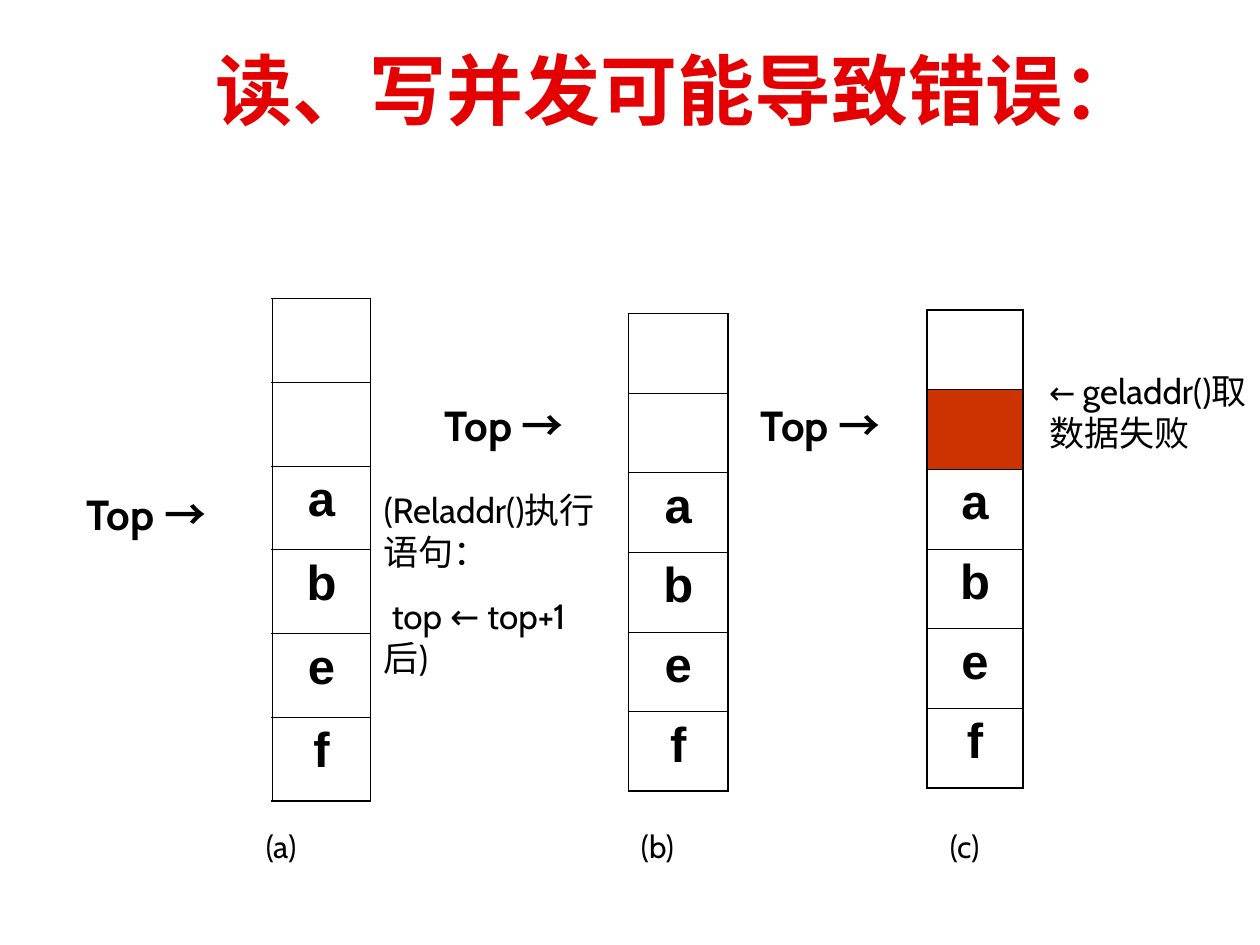
from lxml.etree import SubElement
from pptx import Presentation
from pptx.dml.color import RGBColor as RGB
from pptx.enum.text import MSO_ANCHOR as Anchor, MSO_AUTO_SIZE as Auto, PP_ALIGN as Align
from pptx.oxml import parse_xml
from pptx.oxml.ns import nsdecls, qn
from pptx.util import Cm, Pt

COLORS = {"text": "000000", "title": "E40000", "paper": "FFFFFF", "mark": "CC3300"}
LATIN, HAN = "Cabin", "Noto Sans CJK SC"
THICK, THIN = 1.08, 0.45


def add_run(para, text, size, face=LATIN, bold=False, color="text"):
    run = para.add_run()
    run.text = text
    font = run.font
    font.size, font.name, font.bold = Pt(size), face, bold
    font.color.rgb = RGB.from_string(COLORS[color])
    SubElement(run._r.get_or_add_rPr(), qn("a:ea"), typeface=HAN)


def add_text(slide, box, paras, space=0):
    """Each paragraph is a list of argument tuples for add_run."""
    frame = slide.shapes.add_textbox(*map(Cm, box)).text_frame
    frame.word_wrap = True
    frame.auto_size = Auto.SHAPE_TO_FIT_TEXT
    for i, runs in enumerate(paras):
        para = frame.add_paragraph() if i else frame.paragraphs[0]
        if i:
            para.space_before = Pt(space)
        for run in runs:
            add_run(para, *run)


def set_edges(cell, widths):
    props = cell._tc.get_or_add_tcPr()
    for i, (side, width) in enumerate(widths.items()):
        props.insert(i, parse_xml(
            f'<a:ln{side} {nsdecls("a")} w="{Pt(width)}"><a:solidFill>'
            f'<a:srgbClr val="{COLORS["text"]}"/></a:solidFill></a:ln{side}>'))


def add_title(slide, box, text):
    title = slide.shapes.title
    title.left, title.top, title.width, title.height = map(Cm, box)
    title.fill.solid()
    title.fill.fore_color.rgb = RGB.from_string(COLORS["paper"])
    frame = title.text_frame
    frame.vertical_anchor = Anchor.MIDDLE
    para = frame.paragraphs[0]
    para.alignment = Align.LEFT
    add_run(para, text, 44, "Arial", True, "title")


def add_stack(slide, box, items, label, label_at, top_at, mark=None):
    """A stack with its label and Top pointer, both offset from its corner."""
    left, top, width, height = box
    count = len(items)
    table = slide.shapes.add_table(count, 1, *map(Cm, box)).table
    table.first_row = table.horz_banding = False
    for i, item in enumerate(items):
        table.rows[i].height = Cm(height / count)
        cell = table.cell(i, 0)
        if i == mark:
            cell.fill.solid()
            cell.fill.fore_color.rgb = RGB.from_string(COLORS["mark"])
        else:
            cell.fill.background()
        set_edges(cell, {"L": THICK, "R": THICK,
                         "T": THICK if i == 0 else THIN,
                         "B": THICK if i == count - 1 else THIN})
        if item:
            para = cell.text_frame.paragraphs[0]
            para.alignment = Align.CENTER
            add_run(para, item, 28, "Arial", True)

    # Pointer to the top of the stack
    add_text(slide, (left + top_at[0], top + top_at[1], 3.81, 1.27),
             [[("Top ", 24, LATIN, True), ("→", 24, HAN, True)]])
    # Label below
    add_text(slide, (left + label_at[0], top + label_at[1], 2.26, 1.02),
             [[(label, 18)]])


def main():
    prs = Presentation()
    prs.slide_width, prs.slide_height = Cm(25.4), Cm(19.05)
    slide = prs.slides.add_slide(prs.slide_layouts[5])
    add_title(slide, (4.09, 0.2, 19.61, 3.18), "读、写并发可能导致错误：")

    # Three states of the stack
    items = ["", "", "a", "b", "e", "f"]
    add_stack(slide, (5.49, 6.02, 1.98, 10.13), items, "(a)",
              (-0.38, 10.52), (-3.99, 3.71))
    add_stack(slide, (12.67, 6.32, 2.01, 9.63), items, "(b)",
              (0, 10.22), (-3.96, 1.6))
    add_stack(slide, (18.69, 6.25, 1.93, 9.63), items, "(c)",
              (0.21, 10.29), (-3.6, 1.67), mark=1)

    # Notes beside the stacks
    add_text(slide, (7.49, 9.73, 5, 4.09),
             [[("(Reladdr()执行语句：", 20)], [(" top ← top+1后)", 20)]], 12.5)
    add_text(slide, (20.9, 7.32, 4.5, 1.96),
             [[("← ", 18), ("geladdr()取数据失败", 20)]])
    prs.save("out.pptx")


if __name__ == "__main__":
    main()
